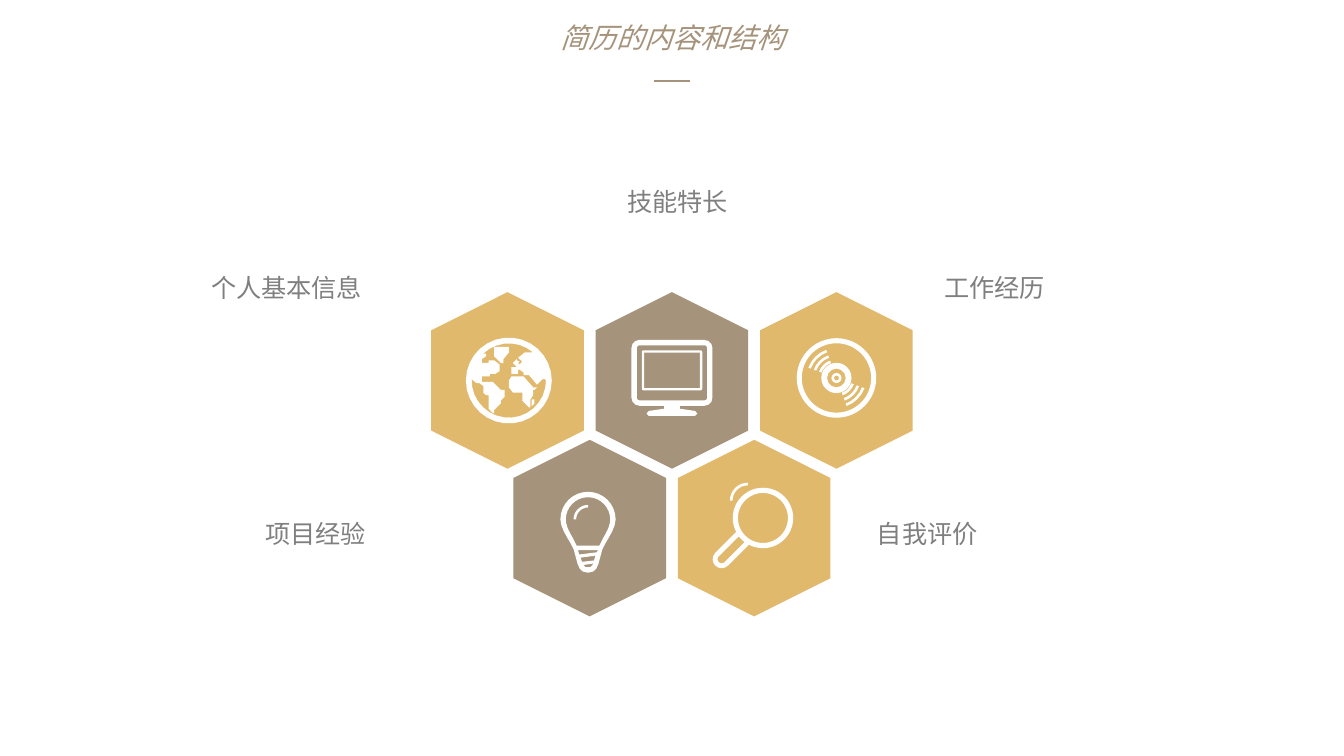
from dataclasses import dataclass
from math import cos, radians, sin

from lxml import etree
from pptx import Presentation
from pptx.dml.color import RGBColor
from pptx.enum.shapes import MSO_CONNECTOR, MSO_SHAPE
from pptx.enum.text import PP_ALIGN
from pptx.oxml.ns import qn
from pptx.util import Pt

HEXAGON, DONUT = MSO_SHAPE.HEXAGON, MSO_SHAPE.DONUT
STRAIGHT = MSO_CONNECTOR.STRAIGHT
CENTER, RIGHT = PP_ALIGN.CENTER, PP_ALIGN.RIGHT

Point = tuple[float, float]
Contour = list[Point]


@dataclass(frozen=True)
class Theme:
    font: str = "Noto Sans CJK SC"
    taupe: RGBColor = RGBColor(0xA6, 0x93, 0x7B)
    gold: RGBColor = RGBColor(0xE1, 0xB9, 0x6D)
    grey: RGBColor = RGBColor(0x7F, 0x7F, 0x7F)
    white: RGBColor = RGBColor(0xFF, 0xFF, 0xFF)
    title_size: float = 15
    label_size: float = 13.5
    rule_width: float = 1.5


@dataclass(frozen=True)
class Ring:
    outer: float
    inner: float


Icon = list[Ring | list[Contour]]  # contours inside another one are holes


@dataclass(frozen=True)
class Tile:
    column: float  # steps from the slide's middle
    row: int
    color: RGBColor
    icon: Icon
    icon_shift: Point = (0, 0)


@dataclass(frozen=True)
class Label:
    text: str
    left: float
    top: float
    width: float
    align: PP_ALIGN = CENTER


THEME = Theme()
SLIDE_W, SLIDE_H = 720, 405
HEX_LENGTH, HEX_WIDTH = 94.6, 81.8
COLUMN_STEP, ROW_STEP, FIRST_ROW = 88.1, 79.1, 203.8
LABEL_H = 27
ARC_STEP = 12  # degrees


def arc(x: float, y: float, r: float, start: float, end: float, steps: int = 0) -> Contour:
    """Points on a circle between two angles in degrees, clockwise from the right."""
    steps = steps or round(abs(end - start) / ARC_STEP)
    angles = [radians(start + (end - start) * i / steps) for i in range(steps + 1)]
    return [(x + r * cos(a), y + r * sin(a)) for a in angles]


def band(x: float, y: float, outer: float, inner: float, start: float, end: float) -> Contour:
    return arc(x, y, outer, start, end) + arc(x, y, inner, end, start)


def bezier(a: Point, b: Point, c: Point, d: Point, steps: int = 5) -> Contour:
    """Points on a cubic curve, without its first one."""
    ts = [i / steps for i in range(1, steps + 1)]
    return [tuple((1 - t) ** 3 * a[k] + 3 * t * (1 - t) ** 2 * b[k]
                  + 3 * t * t * (1 - t) * c[k] + t ** 3 * d[k] for k in (0, 1)) for t in ts]


def mirrored(half: Contour) -> Contour:
    """Close a right half with its reflection in the vertical axis."""
    return half + [(-x, y) for x, y in reversed(half)]


def rounded(half_width: float, top: float, bottom: float, r: float) -> Contour:
    x = half_width - r
    return mirrored(arc(x, top + r, r, -90, 0, 3) + arc(x, bottom - r, r, 0, 90, 3))


def box(half_width: float, top: float, bottom: float) -> Contour:
    return mirrored([(half_width, top), (half_width, bottom)])


def handle(start: float, end: float, r: float) -> Contour:
    """A bar running down-left from the lens, with a round far end."""
    k = cos(radians(45))
    return arc(-end * k, end * k, r, 45, 225, 8) + arc(-start * k, start * k, r, 225, 405, 1)


MONITOR: Icon = [
    [rounded(21.7, -21.7, 13.6, 4.3), rounded(18.8, -18.8, 10.7, 1.4)],
    [mirrored([(4.2, 13.5), (4.2, 15.2), (12.4, 16.4), (13.6, 17.8), (12.4, 19)])],
    [rounded(16.2, -16.1, 5.4, 1), box(15, -14.8, 4.1)],
]
BULB: Icon = [
    [mirrored(arc(0, 0, 14.8, -90, 0)
              + bezier((14.8, 0), (14.8, 5.4), (9.7, 11.2), (7.6, 16.2))
              + bezier((7.6, 16.2), (5.4, 24.1), (5.4, 28.5), (0, 28.5))),
     mirrored(arc(0, 0, 11.9, -90, 0)
              + bezier((11.9, 0), (11.9, 3), (10.4, 6), (8.3, 9.7)) + [(6.1, 14)]),
     [(-4.7, 18.8), (-5.4, 16.4), (5.4, 16.4), (4.7, 17.6)],
     [(3.2, 22), (-3.2, 22.7), (-4, 20.5), (4, 19.4)],
     [(-2.5, 24.4), (3, 23.6), (1.5, 25.4), (-1.2, 25.6)]],
    [band(0, 0, 7.8, 6.4, 180, 270)],
]
MAGNIFIER: Icon = [
    Ring(16.2, 13.4),
    [handle(15, 31.3, 4.8), handle(16.2, 31.3, 2.2)],
    [band(-8.1, -9.3, 9.6, 8.2, 180, 270)],
]
DISC: Icon = [
    Ring(21.3, 18.6),
    Ring(8.1, 5),
    Ring(2.7, 1.3),
    *[[band(0, 0, r, r - 1.4, start, start + 50)] for r in (9.9, 12.9, 16) for start in (20, 200)],
]
AMERICAS: Contour = [
    (-17.3, 1.4), (-15.8, 1.4), (-13.7, 2.9), (-13.7, 6.5), (-12.2, 7.9), (-10.8, 7.9),
    (-10.8, 15.1), (-8.6, 17.3), (-7.9, 17.3), (-7.9, 15.8), (-4.3, 12.2), (-4.3, 10.8),
    (-2.2, 8.6), (-2.2, 5), (-4.3, 5), (-8.6, 0.7), (-14.4, 0.7), (-14.4, -2.2),
    (-10.1, -2.2), (-10.1, -3.6), (-7.2, -3.6), (-5, -5), (-5, -8.6), (-7.9, -10.8),
    (-10.8, -10.8), (-10.8, -9.4), (-14.4, -9.4), (-14.4, -11.5), (-12.2, -13),
    (-12.2, -14.4), (-13.7, -14.4)]
EURASIA: Contour = [
    (8.6, -15.1), (5, -12.2), (7.2, -10.1), (5.8, -8.6), (5, -9.4), (5.8, -10.1),
    (4.3, -10.8), (4.3, -11.5), (2.2, -9.4), (4.3, -7.2), (1.4, -7.2), (1.4, -3.6),
    (5, -3.6), (5, -5.8), (5.8, -5.8), (7.9, -4.3), (7.9, -2.9), (10.8, -2.9),
    (15.1, 2.2), (18, -0.7), (19.4, -0.7)]
AFRICA: Contour = [
    (13, 3.6), (7.9, -2.2), (1.4, -2.2), (0, 0), (0, 3.6), (2.2, 6.5), (7.2, 6.5),
    (7.2, 10.8), (10.8, 14.4), (11.5, 14.4), (11.5, 10.1), (13, 7.9), (13, 5), (13.7, 5),
    (15.1, 3.6)]
GREENLAND: Contour = [
    (0, -18), (-7.9, -18), (-7.9, -13), (-4.3, -9.4), (-2.9, -9.4), (-2.9, -11.5), (0, -15.1)]
MADAGASCAR: Contour = [(12.2, 13.7), (13.7, 12.2), (13.7, 10.1), (12.2, 10.1)]
SEA = arc(0, 0, 19.9, 0, 182) + AMERICAS + arc(0, 0, 19.9, 226, 311) + EURASIA
GLOBE: Icon = [[arc(0, 0, 23, 0, 360), SEA], [GREENLAND], [AFRICA], [MADAGASCAR]]

TILES = [
    Tile(0, 0, THEME.taupe, MONITOR),
    Tile(-0.5, 1, THEME.taupe, BULB, (-0.9, -4.6)),
    Tile(0.5, 1, THEME.gold, MAGNIFIER, (4.7, -5.4)),
    Tile(1, 0, THEME.gold, DISC, (0, -1.3)),
    Tile(-1, 0, THEME.gold, GLOBE, (0.7, 0.1)),
]
LABELS = [
    Label("自我评价", 460, 274.3, 73.4),
    Label("工作经历", 496, 142.5, 73.4),
    Label("个人基本信息", 99.4, 142.5, 101.5, RIGHT),
    Label("项目经验", 133.6, 274.3, 71.3),
    Label("技能特长", 293, 96.4, 140.4),
]
TITLE = Label("简历的内容和结构", 293, 7.2, 134.6)


def paint(sp, color: RGBColor) -> None:
    sp.fill.solid()
    sp.fill.fore_color.rgb = color
    sp.line.fill.background()
    sp.shadow.inherit = False


def add_centered(shapes, kind: MSO_SHAPE, x: float, y: float, w: float, h: float):
    return shapes.add_shape(kind, Pt(x - w / 2), Pt(y - h / 2), Pt(w), Pt(h))


def draw_ring(shapes, ring: Ring, x: float, y: float) -> None:
    size = 2 * ring.outer
    sp = add_centered(shapes, DONUT, x, y, size, size)
    sp.adjustments[0] = (ring.outer - ring.inner) / size
    paint(sp, THEME.white)


def draw_outline(shapes, contours: list[Contour], x: float, y: float) -> None:
    placed = [[(Pt(x + px), Pt(y + py)) for px, py in c] for c in contours]
    builder = shapes.build_freeform(*placed[0][0])
    for i, points in enumerate(placed):
        if i:
            builder.move_to(*points[0])
        builder.add_line_segments(points[1:], close=True)
    paint(builder.convert_to_shape(), THEME.white)


def draw_tile(slide, tile: Tile) -> None:
    shapes = slide.shapes.add_group_shape().shapes
    x = SLIDE_W / 2 + tile.column * COLUMN_STEP
    y = FIRST_ROW + tile.row * ROW_STEP
    sp = add_centered(shapes, HEXAGON, x, y, HEX_LENGTH, HEX_WIDTH)
    sp.rotation = 270
    paint(sp, tile.color)
    dx, dy = tile.icon_shift
    for part in tile.icon:
        draw = draw_ring if isinstance(part, Ring) else draw_outline
        draw(shapes, part, x + dx, y + dy)


def draw_label(slide, label: Label, size: float, color: RGBColor,
               italic: bool = False, wrap: bool = True) -> None:
    tf = slide.shapes.add_textbox(Pt(label.left), Pt(label.top),
                                  Pt(label.width), Pt(LABEL_H)).text_frame
    tf.word_wrap = wrap
    p = tf.paragraphs[0]
    p.alignment = label.align
    r = p.add_run()
    r.text = label.text
    for name, value in {"name": THEME.font, "size": Pt(size), "italic": italic}.items():
        setattr(r.font, name, value)
    r.font.color.rgb = color
    etree.SubElement(r.font._element, qn("a:ea"), typeface=THEME.font)


def draw_rule(slide, left: float, right: float, y: float) -> None:
    line = slide.shapes.add_connector(STRAIGHT, Pt(left), Pt(y), Pt(right), Pt(y))
    line.line.color.rgb = THEME.taupe
    line.line.width = Pt(THEME.rule_width)
    etree.SubElement(line._element.spPr, qn("a:effectLst"))


def main() -> None:
    prs = Presentation()
    prs.slide_width, prs.slide_height = Pt(SLIDE_W), Pt(SLIDE_H)
    slide = prs.slides.add_slide(prs.slide_layouts[6])
    for tile in TILES:
        draw_tile(slide, tile)
    for label in LABELS:
        draw_label(slide, label, THEME.label_size, THEME.grey)
    draw_label(slide, TITLE, THEME.title_size, THEME.taupe, italic=True, wrap=False)
    draw_rule(slide, 350.4, 369.6, 43.4)
    prs.save("out.pptx")


if __name__ == "__main__":
    main()
